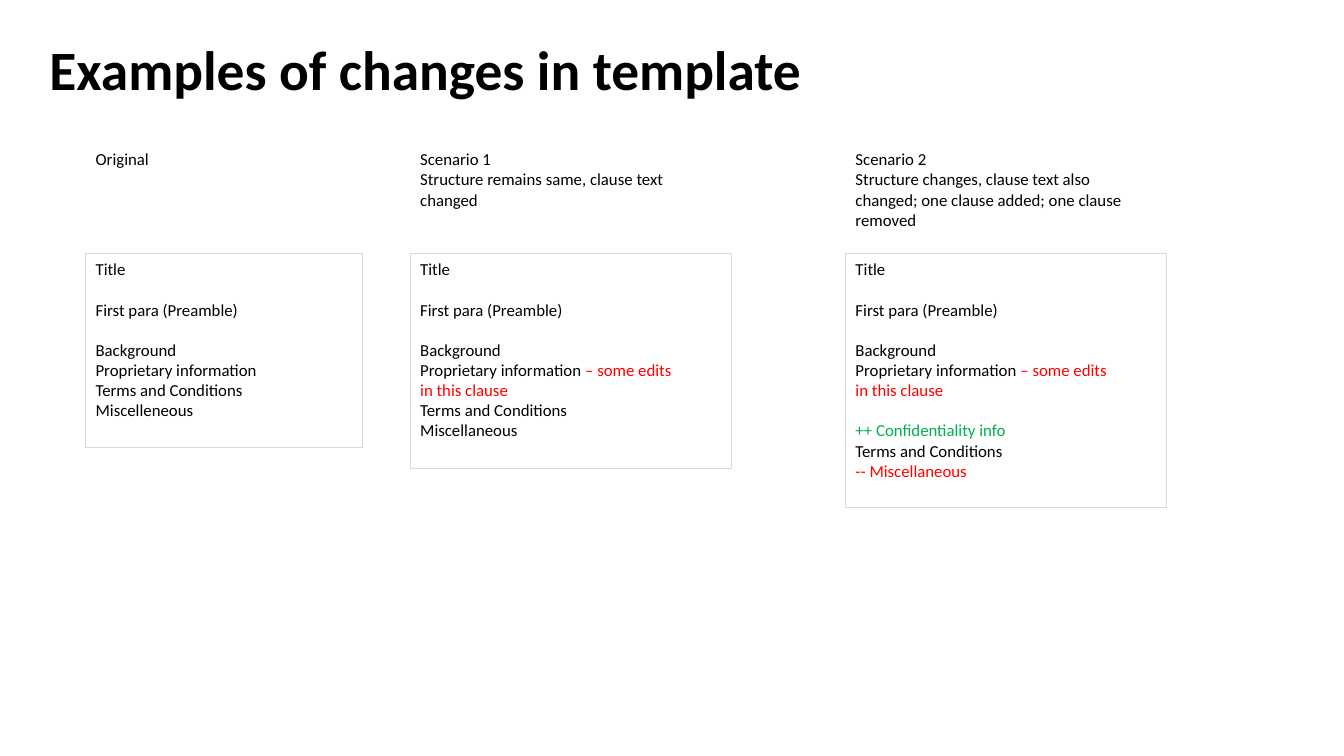
from dataclasses import dataclass

from pptx import Presentation
from pptx import util as u
from pptx.dml.color import RGBColor
from pptx.enum import shapes, text
from pptx.text.text import TextFrame

FONT = "Calibri"
BLACK, RED, GREEN, GREY = "000000", "FF0000", "00B050", "D9D9D9"
LABEL_TOP, PANEL_TOP, LABEL_WIDTH = 3.63, 6.4, 7.34
LINE_GAP = 14.4


@dataclass
class Run:
    text: str
    color: str = BLACK


@dataclass
class Para:
    runs: list[Run]
    gap: float = 0


@dataclass
class Scenario:
    left: float
    panel_width: float
    panel_height: float
    label_height: float
    label: list[Para]
    clauses: list[Para]


def line(content: str, color: str = BLACK, gap: float = 0) -> Para:
    return Para([Run(content, color)], gap)


INTRO = [
    line("Title"),
    line("First para (Preamble)", gap=LINE_GAP),
    line("Background", gap=LINE_GAP),
]
EDITED = Para([Run("Proprietary information "),
               Run("– some edits\nin this clause", RED)])
TERMS = line("Terms and Conditions")

SCENARIOS = [
    Scenario(2.16, 6.98, 4.88, 0.76, [line("Original")],
             INTRO + [line("Proprietary information"), TERMS,
                      line("Miscelleneous")]),
    Scenario(10.34, 8.1, 5.4, 1.8,
             [line("Scenario 1"),
              line("Structure remains same, clause text changed")],
             INTRO + [EDITED, TERMS, line("Miscellaneous")]),
    Scenario(21.31, 8.1, 6.4, 2.31,
             [line("Scenario 2"),
              line("Structure changes, clause text also changed; "
                   "one clause added; one clause removed")],
             INTRO + [EDITED,
                      line("++ Confidentiality info", GREEN, LINE_GAP),
                      TERMS, line("-- Miscellaneous", RED)]),
]


def rgb(value: str) -> RGBColor:
    return RGBColor.from_string(value)


def write(tf: TextFrame, paras: list[Para], size: float = 12,
          bold: bool = False) -> None:
    tf.word_wrap = True
    tf.auto_size = text.MSO_AUTO_SIZE.NONE
    for i, para in enumerate(paras):
        p = tf.paragraphs[0] if i == 0 else tf.add_paragraph()
        p.alignment = text.PP_ALIGN.LEFT
        p.space_before = u.Pt(para.gap)
        for run in para.runs:
            for j, part in enumerate(run.text.split("\n")):
                if j:
                    p.add_line_break()
                r = p.add_run()
                r.text = part
                r.font.name = FONT
                r.font.size = u.Pt(size)
                r.font.bold = bold
                r.font.color.rgb = rgb(run.color)


def draw_scenario(s, scenario: Scenario) -> None:
    panel = s.shapes.add_shape(
        shapes.MSO_SHAPE.RECTANGLE, u.Cm(scenario.left), u.Cm(PANEL_TOP),
        u.Cm(scenario.panel_width), u.Cm(scenario.panel_height))
    panel.shadow.inherit = False
    panel.fill.background()
    panel.line.color.rgb = rgb(GREY)
    panel.line.width = u.Pt(0.75)
    panel.text_frame.vertical_anchor = text.MSO_ANCHOR.TOP
    write(panel.text_frame, scenario.clauses)

    label = s.shapes.add_textbox(
        u.Cm(scenario.left), u.Cm(LABEL_TOP),
        u.Cm(LABEL_WIDTH), u.Cm(scenario.label_height))
    write(label.text_frame, scenario.label)


def main() -> None:
    prs = Presentation()
    prs.slide_width, prs.slide_height = u.Cm(33.87), u.Cm(19.05)
    s = prs.slides.add_slide(prs.slide_layouts[5])

    title = s.shapes.title
    title.left, title.top = u.Cm(0.99), u.Cm(1.02)
    title.width, title.height = u.Cm(31.9), u.Cm(1.6)
    tf = title.text_frame
    tf.vertical_anchor = text.MSO_ANCHOR.MIDDLE
    write(tf, [line("Examples of changes in template")], 39.6, True)
    tf.paragraphs[0].line_spacing = 0.9

    for scenario in SCENARIOS:
        draw_scenario(s, scenario)
    prs.save("out.pptx")


if __name__ == "__main__":
    main()
